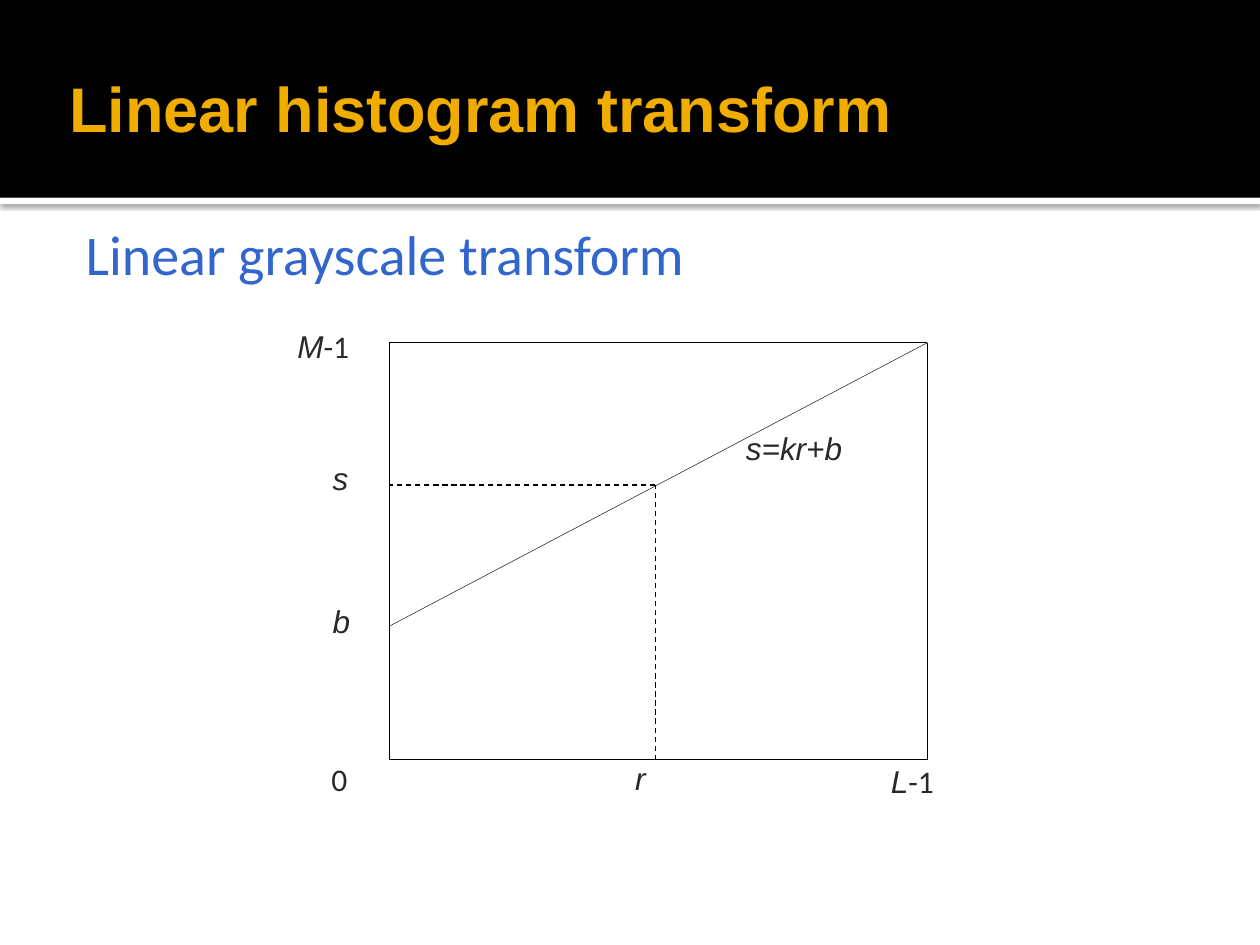
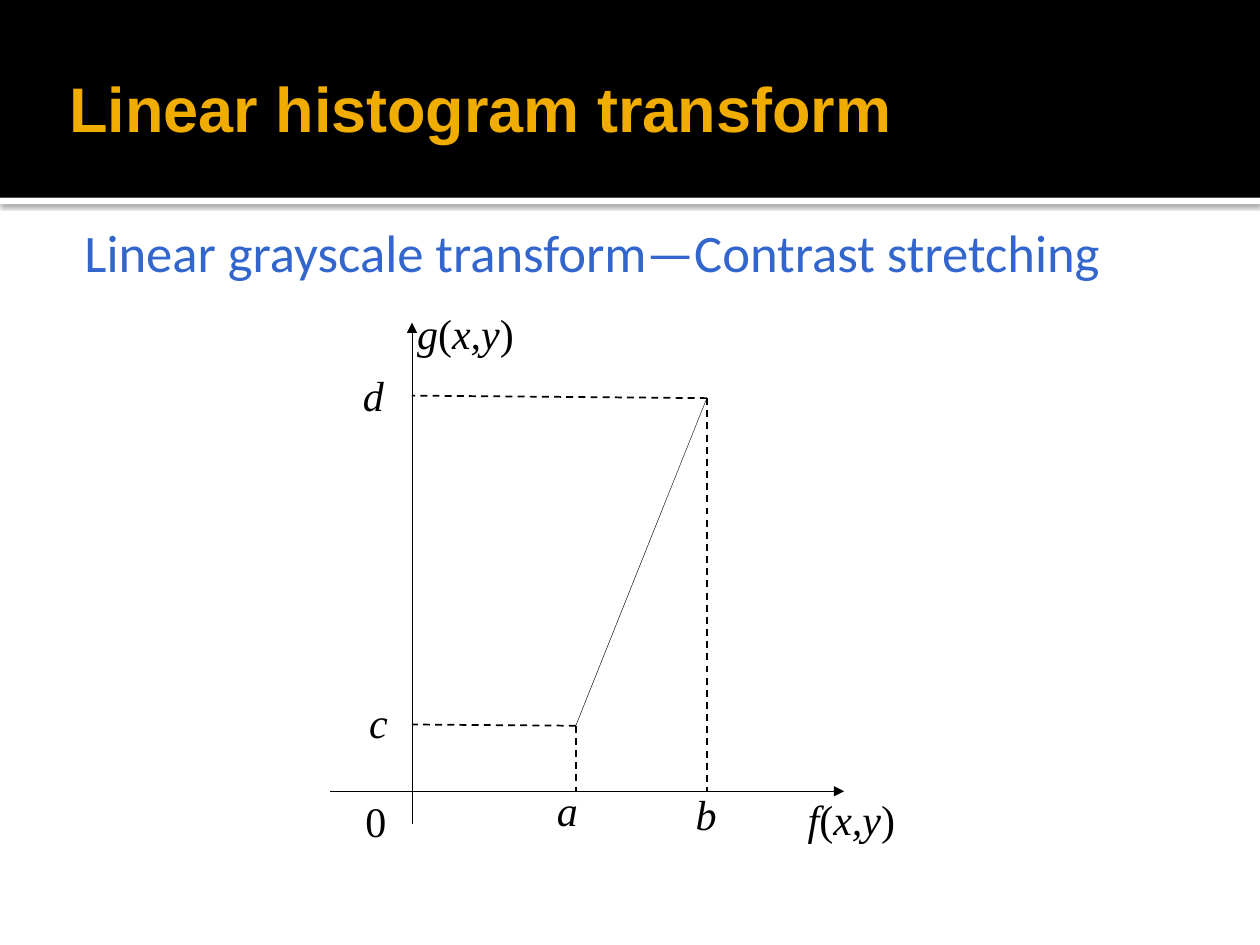
from dataclasses import dataclass

from lxml import etree
from pptx import Presentation
from pptx.dml.color import RGBColor
from pptx.enum.dml import MSO_LINE_DASH_STYLE as Dash
from pptx.enum.shapes import MSO_CONNECTOR as Conn, MSO_SHAPE as Shape
from pptx.enum.text import MSO_ANCHOR as Anchor, PP_ALIGN as Align
from pptx.oxml.ns import qn
from pptx.util import Inches, Pt

# Shared style
BLACK, WHITE = "000000", "FFFFFF"
GOLD, BLUE, CHARCOAL = "F0AD00", "3366CC", "292929"
BAND_H, STRIP_H = 1.57, 0.05
TITLE = "Linear histogram transform"


@dataclass(frozen=True)
class LabelStyle:
    size: float
    color: str
    italic_font: str
    upright_font: str
    height: float


@dataclass(frozen=True)
class Label:
    text: str  # parts between asterisks are italic
    left: float
    top: float
    width: float


@dataclass(frozen=True)
class Line:
    start: tuple[float, float]
    end: tuple[float, float]
    width: float = 0.25
    dashed: bool = False
    arrow: bool = False


def rgb(color: str) -> RGBColor:
    return RGBColor.from_string(color)


def add_band(slide, top: float, height: float, color: str):
    sp = slide.shapes.add_shape(Shape.RECTANGLE, 0, Inches(top), Inches(10), Inches(height))
    sp.shadow.inherit = False
    sp.fill.solid()
    sp.fill.fore_color.rgb = rgb(color)
    sp.line.fill.background()
    return sp


def add_drop_shadow(sp) -> None:
    effects = sp._element.spPr.find(qn("a:effectLst"))
    shadow = etree.SubElement(effects, qn("a:outerShdw"), blurRad=str(Pt(3)),
                              dist=str(Pt(0.8)), dir="5400000", rotWithShape="0")
    color = etree.SubElement(shadow, qn("a:srgbClr"), val=BLACK)
    etree.SubElement(color, qn("a:alpha"), val="60000")


def add_text_box(slide, left: float, top: float, width: float, height: float, anchor):
    box = slide.shapes.add_textbox(Inches(left), Inches(top), Inches(width), Inches(height))
    tf = box.text_frame
    tf.word_wrap = True
    tf.vertical_anchor = anchor
    tf.margin_left = tf.margin_right = tf.margin_top = tf.margin_bottom = Inches(0.05)
    return tf.paragraphs[0]


def set_font(font, name: str, size: float, color: str) -> None:
    font.name, font.size = name, Pt(size)
    font.color.rgb = rgb(color)


def add_label(slide, label: Label, style: LabelStyle) -> None:
    p = add_text_box(slide, label.left, label.top, label.width, style.height, Anchor.MIDDLE)
    p.alignment = Align.JUSTIFY
    p.font.size = Pt(style.size)
    p.font.color.rgb = rgb(style.color)
    parts = [(text, i % 2 == 1) for i, text in enumerate(label.text.split("*")) if text]
    for text, italic in parts:
        r = p.add_run()
        r.text = text
        font = p.font if len(parts) == 1 else r.font
        font.italic = italic
        font.name = style.italic_font if italic else style.upright_font


def add_line(slide, line: Line) -> None:
    cx = slide.shapes.add_connector(Conn.STRAIGHT, *map(Inches, line.start + line.end))
    cx.line.color.rgb = rgb(BLACK)
    cx.line.width = Pt(line.width)
    if line.dashed:
        cx.line.dash_style = Dash.DASH
    if line.arrow:
        etree.SubElement(cx.line._get_or_add_ln(), qn("a:tailEnd"), type="triangle")
    etree.SubElement(cx._element.spPr, qn("a:effectLst"))


def add_slide(prs, heading: str, size: float, margin: float, indent: float):
    """Add a slide with bands, title and heading."""
    slide = prs.slides.add_slide(prs.slide_layouts[6])
    add_drop_shadow(add_band(slide, BAND_H, STRIP_H, WHITE))
    add_band(slide, 0, BAND_H, BLACK)

    p = add_text_box(slide, 0.5, 0.17, 9, 1.37, Anchor.MIDDLE)
    p.text = TITLE
    set_font(p.font, "Arial", 36, GOLD)
    p.font.bold = True

    p = add_text_box(slide, 0.5, 1.75, 9.13, 0.65, Anchor.TOP)
    p.text = heading
    p.line_spacing = 0.9
    pPr = p._p.get_or_add_pPr()
    pPr.set("marL", str(Inches(margin)))
    pPr.set("indent", str(Inches(indent)))
    set_font(p.font, "Calibri", size, BLUE)
    return slide


def add_diagram(slide, lines: list[Line], labels: list[Label], style: LabelStyle) -> None:
    for line in lines:
        add_line(slide, line)
    for label in labels:
        add_label(slide, label, style)


def build_linear_transform(prs) -> None:
    slide = add_slide(prs, "Linear grayscale transform", 32, 0.35, -0.22)
    left, right, top, bottom = 3.09, 7.36, 2.72, 6.03
    r, s, b = 5.2, 3.85, 4.97
    corners = [(left, top), (left, bottom), (right, bottom), (right, top)]
    frame = [Line(start, end, 0.75) for start, end in zip(corners, corners[1:] + corners[:1])]
    lines = frame + [
        Line((left, b), (right, top)),
        Line((r, bottom), (r, s), 0.75, dashed=True),
        Line((r, s), (left, s), 0.75, dashed=True),
    ]
    labels = [
        Label("0", 2.58, 5.98, 0.67),
        Label("*M*-1", 2.31, 2.54, 1.05),
        Label("*s*", 2.59, 3.59, 0.62),
        Label("*b*", 2.59, 4.72, 0.62),
        Label("*r*", 4.99, 5.97, 0.62),
        Label("*L*-1", 7.02, 5.99, 0.7),
        Label("*s=kr+b*", 5.87, 3.35, 1.25),
    ]
    add_diagram(slide, lines, labels, LabelStyle(18, CHARCOAL, "Arial", "Calibri", 0.41))


def build_contrast_stretching(prs) -> None:
    heading = "Linear grayscale transform—Contrast stretching"
    slide = add_slide(prs, heading, 30.1, 0.33, -0.21)
    axis_x, axis_y = 3.27, 6.28
    low, high = (4.57, 5.76), (5.61, 3.16)
    lines = [
        Line((2.62, axis_y), (6.7, axis_y), arrow=True),
        Line((axis_x, 6.54), (axis_x, 2.56), arrow=True),
        Line(low, high),
    ]
    # Dashed guides from each end of the segment to both axes
    for point, guide_y in ((low, 5.75), (high, 3.14)):
        lines += [Line(point, end, 1, dashed=True)
                  for end in ((point[0], axis_y), (axis_x, guide_y))]
    labels = [
        Label("0", 2.85, 6.28, 0.49),
        Label("*f*(*x,y*)", 6.36, 6.27, 0.91),
        Label("*g*(*x,y*)", 3.26, 2.41, 1.12),
        Label("*a*", 4.37, 6.2, 0.47),
        Label("*b*", 5.47, 6.23, 0.49),
        Label("*c*", 2.88, 5.5, 0.47),
        Label("*d*", 2.83, 2.9, 0.49),
    ]
    times = "Times New Roman"
    add_diagram(slide, lines, labels, LabelStyle(24, BLACK, times, times, 0.46))


def main() -> None:
    prs = Presentation()
    prs.slide_width, prs.slide_height = Inches(10), Inches(7.5)
    build_linear_transform(prs)
    build_contrast_stretching(prs)
    prs.save("out.pptx")


if __name__ == "__main__":
    main()
